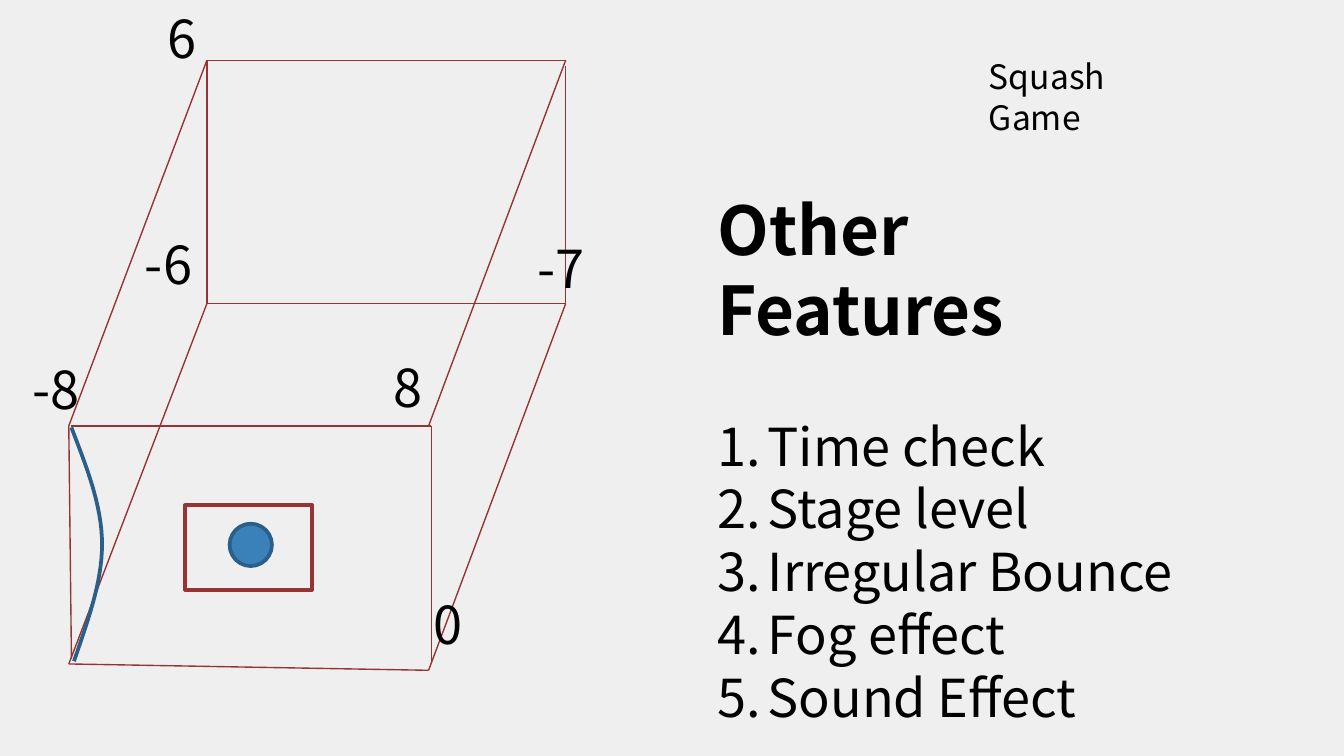
from dataclasses import dataclass

from lxml import etree
from pptx import Presentation
from pptx import util as u
from pptx.dml.color import RGBColor
from pptx.enum import shapes, text
from pptx.oxml.ns import qn


@dataclass(frozen=True)
class Theme:
    font: str = "Noto Sans CJK KR"
    paper: RGBColor = RGBColor(0xEF, 0xEF, 0xEF)
    ink: RGBColor = RGBColor(0, 0, 0)
    court: RGBColor = RGBColor(0x96, 0x33, 0x34)
    ball: RGBColor = RGBColor(0x3A, 0x81, 0xBA)
    ball_edge: RGBColor = RGBColor(0x2B, 0x5F, 0x8A)
    title: u.Pt = u.Pt(36)
    body: u.Pt = u.Pt(28)
    caption: u.Pt = u.Pt(18)
    thin: u.Pt = u.Pt(0.75)
    thick: u.Pt = u.Pt(2)


theme = Theme()


def write(paragraph, words, size, bold=False):
    run = paragraph.add_run()
    run.text = words
    run.font.name = theme.font
    run.font.size = size
    run.font.bold = bold
    run.font.color.rgb = theme.ink


def add_textbox(left, top, width, height):
    """Add a wrapping text box, in centimetres, and return its text frame."""
    box = slide.shapes.add_textbox(u.Cm(left), u.Cm(top), u.Cm(width), u.Cm(height))
    box.text_frame.word_wrap = True
    return box.text_frame


prs = Presentation()
prs.slide_width, prs.slide_height = u.Cm(25.4), u.Cm(14.29)
slide = prs.slides.add_slide(prs.slide_layouts[5])
slide.background.fill.solid()
slide.background.fill.fore_color.rgb = theme.paper

# Title and caption
title = slide.shapes.title
title.left, title.top, title.width, title.height = u.Cm(13.31), u.Cm(3.43), u.Cm(9.17), u.Cm(3.4)
title.text_frame.word_wrap = True
title.text_frame.auto_size = text.MSO_AUTO_SIZE.NONE
title.text_frame.vertical_anchor = text.MSO_ANCHOR.TOP
heading = title.text_frame.paragraphs[0]
heading.alignment = text.PP_ALIGN.LEFT
write(heading, "Other Features", theme.title, bold=True)

caption = add_textbox(18.44, 0.94, 4.04, 1.02)
write(caption.paragraphs[0], "Squash Game", theme.caption)

# Court: a box in oblique projection, one (x1, y1, x2, y2) per edge
depth_edges = [
    (1.3, 8.05, 3.91, 1.14),
    (8.1, 8.05, 10.69, 1.14),
    (8.1, 12.67, 10.69, 5.74),
    (1.3, 12.55, 3.91, 5.74),
]
front_edges = [
    (1.3, 12.55, 8.1, 12.67),
    (1.35, 12.45, 1.3, 8.05),
    (8.15, 12.55, 8.15, 8.05),
    (1.35, 8.05, 8.15, 8.05),
]
back_edges = [
    (3.91, 5.74, 10.69, 5.74),
    (3.91, 1.14, 10.69, 1.14),
    (3.91, 5.74, 3.91, 1.14),
    (10.69, 5.74, 10.69, 1.24),
]
for ends in depth_edges + front_edges + back_edges:
    edge = slide.shapes.add_connector(shapes.MSO_CONNECTOR.STRAIGHT, *map(u.Cm, ends))
    edge.line.color.rgb = theme.court
    edge.line.width = theme.thin
    etree.SubElement(edge.element.spPr, qn("a:effectLst"))

# Racket, ball and the bent side wall
racket = slide.shapes.add_shape(
    shapes.MSO_SHAPE.RECTANGLE, u.Cm(3.5), u.Cm(9.55), u.Cm(2.4), u.Cm(1.6))
racket.fill.background()
ball = slide.shapes.add_shape(
    shapes.MSO_SHAPE.OVAL, u.Cm(4.34), u.Cm(9.9), u.Cm(0.8), u.Cm(0.8))
ball.fill.solid()
ball.fill.fore_color.rgb = theme.ball

bezier_halves = [
    [(1.35, 8.08), (1.63, 8.81), (1.93, 9.55), (1.93, 10.29)],
    [(1.93, 10.29), (1.93, 11.02), (1.65, 11.76), (1.4, 12.5)],
]
steps = 16
curve = []
for a, b, c, d in bezier_halves:
    for step in range(1, steps + 1):
        t = step / steps
        weights = ((1 - t) ** 3, 3 * t * (1 - t) ** 2, 3 * t ** 2 * (1 - t), t ** 3)
        curve.append([
            u.Cm(sum(w * value for w, value in zip(weights, values)))
            for values in zip(a, b, c, d)
        ])
builder = slide.shapes.build_freeform(*map(u.Cm, bezier_halves[0][0]))
builder.add_line_segments(curve, close=False)
wall = builder.convert_to_shape()
wall.fill.background()

for part, color in ((racket, theme.court), (ball, theme.ball_edge), (wall, theme.ball_edge)):
    part.line.color.rgb = color
    part.line.width = theme.thick
    part.shadow.inherit = False

# Coordinates written around the court
coordinates = [
    ("-8", 0.36, 6.63, 1.68),
    ("-7", 9.91, 4.34, 1.8),
    ("6", 2.92, 0, 1.14),
    ("8", 7.19, 6.6, 1.68),
    ("-6", 2.49, 4.27, 1.88),
    ("0", 7.95, 11.07, 1.93),
]
for number, left, top, width in coordinates:
    write(add_textbox(left, top, width, 1.45).paragraphs[0], number, theme.body)

# Numbered features
features = ["Time check", "Stage level", "Irregular Bounce", "Fog effect", "Sound Effect"]
feature_list = add_textbox(13.31, 7.7, 9.17, 6.2)
for index, feature in enumerate(features):
    item = feature_list.add_paragraph() if index else feature_list.paragraphs[0]
    write(item, feature, theme.body)
    properties = item._p.get_or_add_pPr()
    properties.set("marL", str(u.Cm(0.95)))
    properties.set("indent", str(-u.Cm(0.95)))
    etree.SubElement(properties, qn("a:buAutoNum"), type="arabicPeriod")

prs.save("out.pptx")
